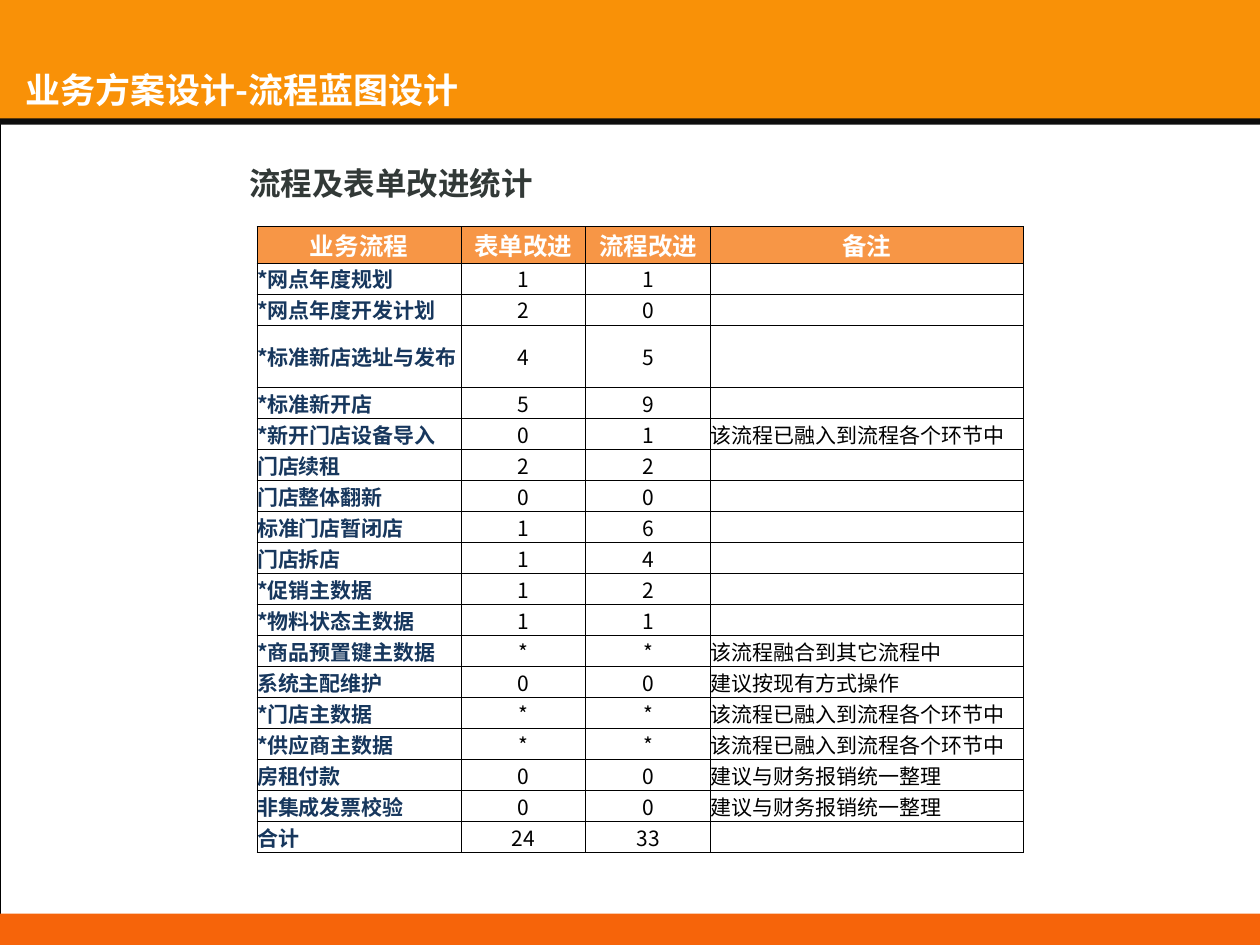
from lxml.etree import SubElement
from pptx import Presentation
from pptx.dml.color import RGBColor
from pptx.enum.shapes import MSO_SHAPE
from pptx.enum.text import MSO_ANCHOR, PP_ALIGN
from pptx.oxml.ns import qn
from pptx.util import Inches, Pt

FONT = "Noto Sans CJK SC"
HEX = {"white": "FFFFFF", "black": "000000", "amber": "F99107", "rule": "0D0D0D",
       "foot": "F6640A", "head": "F79646", "navy": "17375D", "grey": "323937"}
HEADS = ["业务流程", "表单改进", "流程改进", "备注"]
MERGED = "该流程已融入到流程各个环节中"
FINANCE = "建议与财务报销统一整理"
TALL = "*标准新店选址与发布"
ROWS = [
    ("*网点年度规划", "1", "1", ""),
    ("*网点年度开发计划", "2", "0", ""),
    (TALL, "4", "5", ""),
    ("*标准新开店", "5", "9", ""),
    ("*新开门店设备导入", "0", "1", MERGED),
    ("门店续租", "2", "2", ""),
    ("门店整体翻新", "0", "0", ""),
    ("标准门店暂闭店", "1", "6", ""),
    ("门店拆店", "1", "4", ""),
    ("*促销主数据", "1", "2", ""),
    ("*物料状态主数据", "1", "1", ""),
    ("*商品预置键主数据", "*", "*", "该流程融合到其它流程中"),
    ("系统主配维护", "0", "0", "建议按现有方式操作"),
    ("*门店主数据", "*", "*", MERGED),
    ("*供应商主数据", "*", "*", MERGED),
    ("房租付款", "0", "0", FINANCE),
    ("非集成发票校验", "0", "0", FINANCE),
    ("合计", "24", "33", ""),
]


def color(name):
    """Return the named colour."""
    return RGBColor.from_string(HEX[name])


def write(frame, text, size, hue, bold=False, face=FONT, align=PP_ALIGN.LEFT):
    """Put one styled paragraph in a text frame."""
    para = frame.paragraphs[0]
    para.text = text
    para.alignment = align
    font = para.font
    font.size, font.bold, font.name = Pt(size), bold, face
    font.color.rgb = color(hue)
    SubElement(font._element, qn("a:ea")).set("typeface", FONT)
    if not text:
        para._p.get_or_add_endParaRPr().set("sz", str(size * 100))


def block(slide, box, fill=None, line=None):
    """Draw a plain rectangle in the box."""
    shape = slide.shapes.add_shape(MSO_SHAPE.RECTANGLE, *map(Inches, box))
    shape.shadow.inherit = False
    if fill:
        shape.fill.solid()
        shape.fill.fore_color.rgb = color(fill)
    else:
        shape.fill.background()
    if line:
        shape.line.color.rgb = color(line)
        shape.line.width = Pt(0.2)
    else:
        shape.line.fill.background()


def frame(slide, box):
    """Draw the page outline, top band, rule and foot band."""
    left, top, width, height = box
    block(slide, box, line="black")
    block(slide, (left, top, width, 0.98), "amber")
    block(slide, (left, top + 0.94, width, 0.05), "rule")
    block(slide, (left, top + height - 0.25, width, 0.25), "foot")


def label(slide, box, text, size, hue, face=FONT):
    """Add a bold line of text and return its frame."""
    body = slide.shapes.add_textbox(*map(Inches, box)).text_frame
    body.word_wrap = True
    write(body, text, size, hue, True, face)
    return body


def title(slide, box):
    """Add the slide title, set at the foot of its box."""
    body = label(slide, box, "业务方案设计-流程蓝图设计", 20, "white")
    body.vertical_anchor = MSO_ANCHOR.BOTTOM
    body.margin_left = body.margin_top = Inches(0.2)
    body.margin_right = body.margin_bottom = Inches(0.04)


def border(cell):
    """Rule all four sides of a cell."""
    props = cell._tc.get_or_add_tcPr()
    for side in ("lnL", "lnR", "lnT", "lnB"):
        line = SubElement(props, qn(f"a:{side}"), w=str(Pt(0.5)))
        fill = SubElement(line, qn("a:solidFill"))
        SubElement(fill, qn("a:srgbClr"), val=HEX["black"])


def grid(slide, box):
    """Build the table of form and process changes."""
    data = [HEADS, *ROWS]
    table = slide.shapes.add_table(len(data), len(HEADS), *map(Inches, box)).table
    table.horz_banding = False
    for col, width in zip(table.columns, (1.62, 0.99, 0.99, 2.48)):
        col.width = Inches(width)
    top = 0.29
    step = (box[3] - top) / (len(ROWS) + 1)
    for r, row in enumerate(data):
        head = r == 0
        high = step * 2 if row[0] == TALL else step
        table.rows[r].height = Inches(top if head else high)
        for c, text in enumerate(row):
            cell = table.cell(r, c)
            cell.margin_left = cell.margin_right = 0
            cell.margin_top = cell.margin_bottom = 0
            cell.vertical_anchor = MSO_ANCHOR.MIDDLE
            border(cell)
            mid = PP_ALIGN.CENTER if head or c in (1, 2) else PP_ALIGN.LEFT
            if head:
                cell.fill.solid()
                cell.fill.fore_color.rgb = color("head")
                write(cell.text_frame, text, 14, "white", True, align=mid)
            else:
                cell.fill.background()
                hue = "black" if c else "navy"
                write(cell.text_frame, text, 12, hue, c == 0, align=mid)


def main():
    """Build and save the slide."""
    deck = Presentation()
    deck.slide_width, deck.slide_height = Inches(10), Inches(7.5)
    slide = deck.slides.add_slide(deck.slide_layouts[6])
    frame(slide, (0, 0, 10, 7.5))
    title(slide, (0, 0.35, 8.13, 0.57))
    grid(slide, (2.04, 1.8, 6.08, 4.97))
    label(slide, (1.88, 1.25, 6.17, 0.4), "流程及表单改进统计", 18, "grey", "Arial")
    deck.save("out.pptx")


if __name__ == "__main__":
    main()
